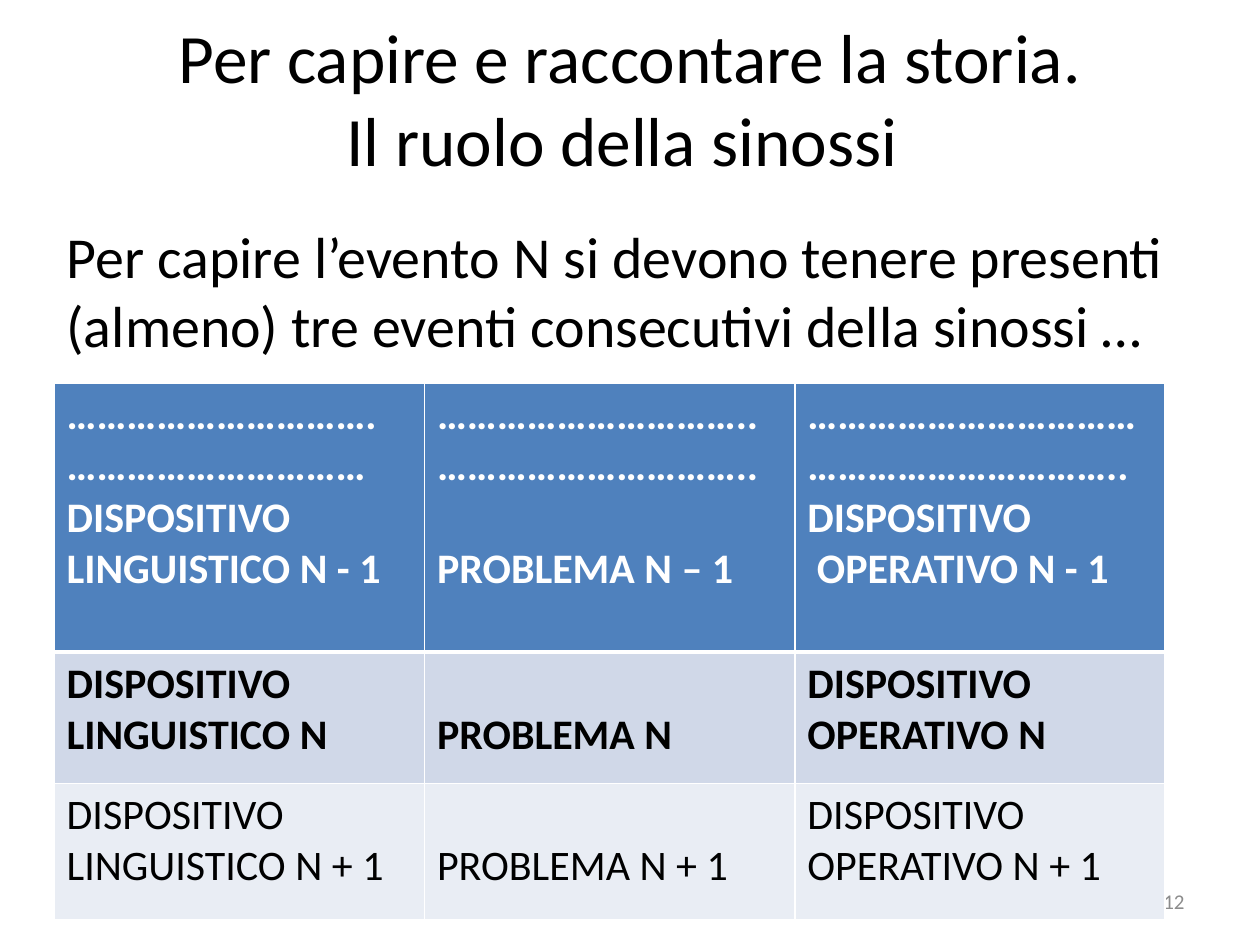
from dataclasses import dataclass
from lxml.etree import SubElement
from pptx import Presentation
from pptx.dml.color import RGBColor as RGB
from pptx.enum.text import MSO_ANCHOR as Anchor, PP_ALIGN as Align
from pptx.oxml.ns import qn
from pptx.util import Cm, Pt


@dataclass(frozen=True)
class Theme:
    font: str = "Calibri"
    ink: str = "000000"
    white: str = "FFFFFF"
    gray: str = "8C8C8C"
    header: str = "4F81BD"
    band_dark: str = "D0D8E8"
    band_light: str = "E9EDF4"
    title: float = 39.6
    body: float = 33.1
    cell: float = 24
    number: float = 12


T = Theme()
LINE = T.cell * 1.22  # height of one table text line, in points


def write(p, text, size, color, bold=False, align=Align.LEFT):
    p.text = text
    p.alignment = align
    formats = {"name": T.font, "size": Pt(size), "bold": bold}
    for r in p.runs:
        for key, value in formats.items():
            setattr(r.font, key, value)
        r.font.color.rgb = RGB.from_string(color)


def add_text(s, box, text, size, color, anchor=Anchor.TOP, align=Align.LEFT):
    tf = s.shapes.add_textbox(*map(Cm, box)).text_frame
    tf.word_wrap = True
    tf.vertical_anchor = anchor
    write(tf.paragraphs[0], text, size, color, align=align)


def set_borders(cell, bottom):
    tcPr = cell._tc.get_or_add_tcPr()
    widths = {"a:lnL": 1, "a:lnR": 1, "a:lnT": 1, "a:lnB": bottom}
    for i, (tag, width) in enumerate(widths.items()):
        ln = SubElement(tcPr, qn(tag), w=str(Pt(width)))
        fill = SubElement(ln, qn("a:solidFill"))
        SubElement(fill, qn("a:srgbClr"), val=T.white)
        tcPr.insert(i, ln)  # borders come before the fill


def add_synopsis(s, box, rows):
    left, top, width, height = box
    n = len(rows[0]["cells"])
    table = s.shapes.add_table(len(rows), n, *map(Cm, box)).table
    for col in table.columns:
        col.width = Cm(width / n)
    for i, row in enumerate(rows):
        table.rows[i].height = Cm(height * row["share"])
        for j, lines in enumerate(row["cells"]):
            cell = table.cell(i, j)
            cell.fill.solid()
            cell.fill.fore_color.rgb = RGB.from_string(row["fill"])
            set_borders(cell, row["bottom"])
            tf = cell.text_frame
            for k, line in enumerate(lines):
                p = tf.add_paragraph() if k else tf.paragraphs[0]
                write(p, line, T.cell, row["color"], row["bold"])
            # The middle column starts its label one line lower
            if j == 1 and len(lines) > 1:
                p.space_before = Pt(LINE)
            elif j == 1:
                cell.margin_top = Cm(0.13) + Pt(LINE)


def event_row(suffix, bold, fill, share):
    labels = "DISPOSITIVO LINGUISTICO", "PROBLEMA", "DISPOSITIVO OPERATIVO"
    return {"cells": [[f"{label} {suffix}"] for label in labels], "bold": bold,
            "fill": fill, "color": T.ink, "bottom": 1, "share": share}


def build_slide(s, width):
    # Title and introduction
    add_text(s, (1.27, 0, width - 2.54, 3.94),
             "Per capire e raccontare la storia.\vIl ruolo della sinossi ",
             T.title, T.ink, Anchor.MIDDLE, Align.CENTER)
    add_text(s, (1.09, 4.32, width - 1.09, 14),
             "Per capire l’evento N si devono tenere presenti (almeno) "
             "tre eventi consecutivi della sinossi …", T.body, T.ink)
    # Slide number, partly behind the table
    add_text(s, (18.2, 17.65, 5.93, 1.02), "12", T.number, T.gray,
             Anchor.MIDDLE, Align.RIGHT)
    # Three consecutive events
    previous = {
        "cells": [
            ["………………………….", "…………………………", "DISPOSITIVO LINGUISTICO N - 1"],
            ["…………………………..", "…………………………..", "PROBLEMA N – 1"],
            ["……………………………", "…………………………..", "DISPOSITIVO", " OPERATIVO N - 1"],
        ],
        "bold": True, "fill": T.header, "color": T.white, "bottom": 3, "share": 0.5,
    }
    add_synopsis(s, (1.09, 7.73, 22.4, 10.82), [
        previous,
        event_row("N", True, T.band_dark, 0.245),
        event_row("N + 1", False, T.band_light, 0.255),
    ])


def main():
    prs = Presentation()
    prs.slide_width, prs.slide_height = Cm(25.4), Cm(19.05)
    s = prs.slides.add_slide(prs.slide_layouts[6])
    build_slide(s, 25.4)
    prs.save("out.pptx")


if __name__ == "__main__":
    main()
